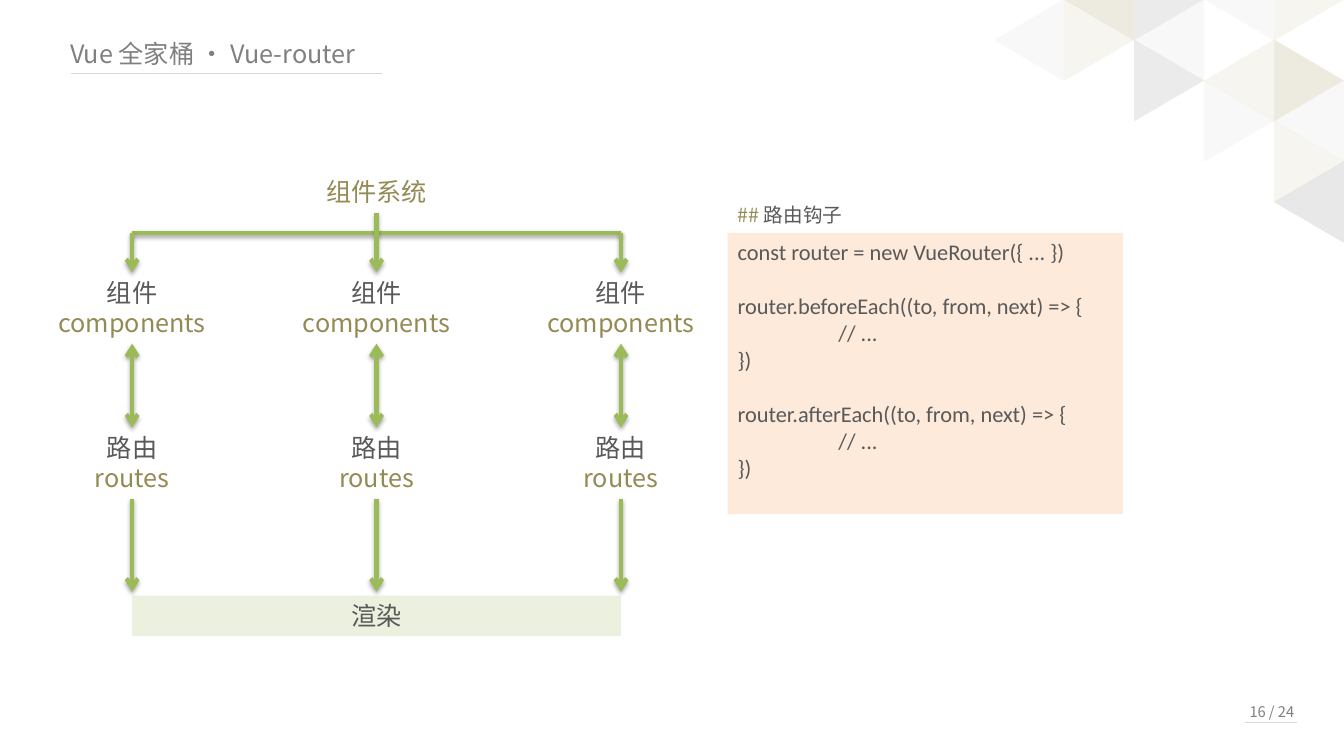
from lxml.etree import SubElement
from pptx import Presentation
from pptx.dml.color import RGBColor
from pptx.enum.shapes import MSO_CONNECTOR as CONN, MSO_SHAPE as SHAPE
from pptx.enum.text import MSO_ANCHOR as ANCHOR, PP_ALIGN as ALIGN
from pptx.oxml.ns import qn
from pptx.util import Cm, Pt

SANS, CODE_FONT = "Noto Sans CJK SC", "Calibri"
GRAY, DARK, OLIVE, GREEN, RULE = "808080", "595959", "948A54", "9BBB59", "D9D9D9"

TITLE = "Vue 全家桶 · Vue-router"
PAGE = "16 / 24"
SYSTEM, RENDER = "组件系统", "渲染"
LEVELS = [
    (6.86, 4.37, ["组件", "components"]),
    (10.77, 2.46, ["路由", "routes"]),
]
HOOK_HEADING = ["## ", "路由钩子"]
CODE = [
    ("const router = new VueRouter({ ... })", 0, False),
    ("router.beforeEach((to, from, next) => {", 0, True),
    ("// ...", 1, False),
    ("})", 0, False),
    ("router.afterEach((to, from, next) => {", 0, True),
    ("// ...", 1, False),
    ("})", 0, False),
]
TRIANGLES = [
    (1, 0, 270, "DDD9C3"), (2, 0, 90, "D9D9D9"), (3, 0, 270, "F2F2F2"),
    (4, 0, 90, "EEECE1"), (1, 1, 90, "EEECE1"), (2, 1, 270, "F2F2F2"),
    (3, 1, 90, "FFFFFF"), (2, 2, 90, "D9D9D9"), (3, 2, 270, "EEECE1"),
    (4, 2, 90, "DDD9C3"), (3, 3, 90, "F2F2F2"), (4, 3, 270, "F2F2F2"),
    (0, 1, 270, "F2F2F2"), (4, 4, 90, "EEECE1"), (4, 5, 270, "F2F2F2"),
    (4, 5, 270, "D9D9D9"),
]

prs = Presentation()
prs.slide_width, prs.slide_height = Cm(33.87), Cm(19.05)
s = prs.slides.add_slide(prs.slide_layouts[6])


def paint(fmt, color):
    fmt.rgb = RGBColor.from_string(color)


def add_block(kind, x, y, w, h, color):
    sp = s.shapes.add_shape(kind, Cm(x), Cm(y), Cm(w), Cm(h))
    sp.shadow.inherit = False
    sp.fill.solid()
    paint(sp.fill.fore_color, color)
    sp.line.fill.background()
    return sp


def style(r, size, color, font=SANS):
    r.font.size, r.font.name = Pt(size), font
    paint(r.font.color, color)
    SubElement(r.font._element, qn("a:ea"), typeface=font)


def write(sp, lines, size, colors, align=ALIGN.LEFT, wrap=True):
    tf = sp.text_frame
    tf.word_wrap = wrap
    tf.text = "\n".join(lines)
    for p, color in zip(tf.paragraphs, colors):
        p.alignment = align
        style(p.runs[0], size, color)


def add_text(x, y, w, h, *args, **kwargs):
    write(s.shapes.add_textbox(Cm(x), Cm(y), Cm(w), Cm(h)), *args, **kwargs)


def add_line(x1, y1, x2, y2, color, width, ends=(), shadow=False):
    c = s.shapes.add_connector(CONN.STRAIGHT, Cm(x1), Cm(y1), Cm(x2), Cm(y2))
    paint(c.line.color, color)
    c.line.width = Pt(width)
    for end in ends:
        SubElement(c.line._get_or_add_ln(), qn("a:" + end), type="arrow")
    effects = SubElement(c._element.spPr, qn("a:effectLst"))
    if shadow:
        outer = SubElement(effects, qn("a:outerShdw"), blurRad="40000",
                           dist="23000", dir="5400000", rotWithShape="0")
        black = SubElement(outer, qn("a:srgbClr"), val="000000")
        SubElement(black, qn("a:alpha"), val="35000")


def add_flow(x1, y1, x2, y2, ends=("tailEnd",)):
    add_line(x1, y1, x2, y2, GREEN, 3, ends, shadow=True)


for col, row, turn, color in TRIANGLES:
    sp = add_block(SHAPE.ISOSCELES_TRIANGLE, 24.9 + 1.765 * col,
                   -0.89 + 1.02 * row, 2.06, 1.76, color)
    sp.rotation = turn
    SubElement(sp.fill._xPr.find(".//" + qn("a:srgbClr")), qn("a:alpha"), val="50000")

add_text(1.52, 0.84, 9.5, 1.02, [TITLE], 18, [GRAY])
add_line(1.78, 1.85, 9.63, 1.85, RULE, 0.75)
add_text(31.24, 17.58, 1.93, 0.71, [PAGE], 10.5, [GRAY])
add_line(31.37, 18.21, 32.69, 18.21, RULE, 0.75)

LEFT, STEP = 3.33, 6.16
CENTERS = [LEFT + STEP * i for i in range(3)]
SPAN = 2 * STEP
BUS_Y, TEXT_H = 5.87, 1.8
(parts_y, *_), (routes_y, *_) = LEVELS

add_text(LEFT, 4.32, SPAN, 1.02, [SYSTEM], 18, [OLIVE], ALIGN.CENTER)
sp = add_block(SHAPE.RECTANGLE, LEFT, 15.01, SPAN, 1.02, "EBF1DE")
write(sp, [RENDER], 18, [DARK], ALIGN.CENTER)
add_flow(LEFT, BUS_Y, LEFT + SPAN, BUS_Y, ends=())
for i, x in enumerate(CENTERS):
    for y, w, lines in LEVELS:
        add_text(x - w / 2, y, w, TEXT_H, lines, 18, [DARK, OLIVE], ALIGN.CENTER, wrap=False)
    add_flow(x, 5.36 if i == 1 else BUS_Y, x, parts_y)
    add_flow(x, parts_y + TEXT_H, x, routes_y, ("headEnd", "tailEnd"))
    add_flow(x, routes_y + TEXT_H, x, 14.91)

sp = add_block(SHAPE.RECTANGLE, 18.34, 5.87, 9.96, 7.09, "FDEADA")
tf = sp.text_frame
tf.word_wrap, tf.vertical_anchor = True, ANCHOR.TOP
tf.text = "\n".join(text for text, _, _ in CODE)
for p, (_, level, gap) in zip(tf.paragraphs, CODE):
    p.alignment = ALIGN.LEFT
    p.space_before = Pt(19.5 if gap else 0)
    p._p.get_or_add_pPr().set("marL", str(Cm(2.54 * level)))
    style(p.runs[0], 16, DARK, CODE_FONT)

sp = s.shapes.add_textbox(Cm(18.34), Cm(5), Cm(6.38), Cm(0.86))
sp.text_frame.word_wrap = True
p = sp.text_frame.paragraphs[0]
for text, color in zip(HOOK_HEADING, [OLIVE, DARK]):
    r = p.add_run()
    r.text = text
    style(r, 14, color)

prs.save("out.pptx")
